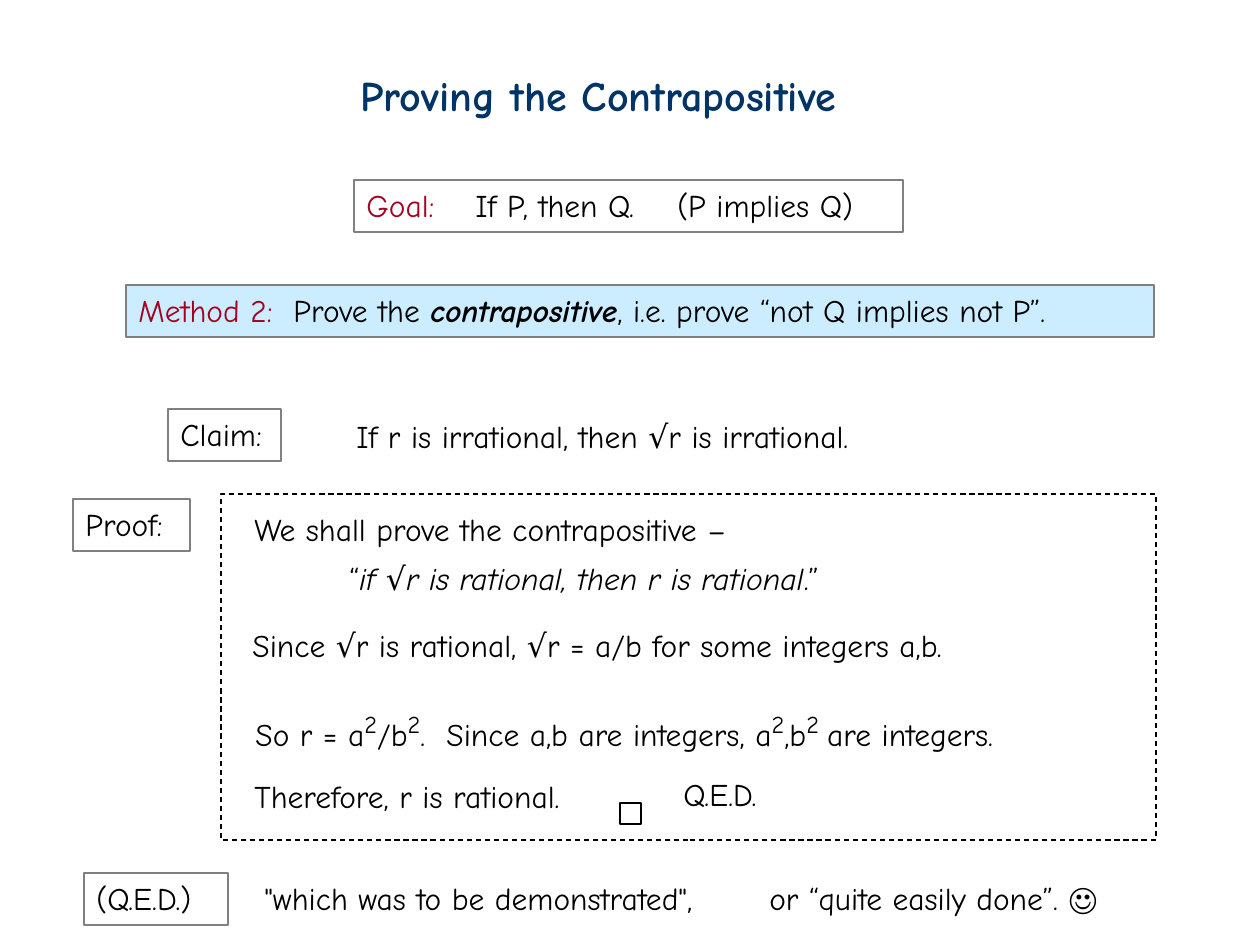
from lxml import etree
from pptx import Presentation
from pptx.dml.color import RGBColor
from pptx.enum.dml import MSO_LINE_DASH_STYLE as Dash
from pptx.enum.shapes import MSO_SHAPE as Shape
from pptx.enum.text import MSO_ANCHOR as Anchor, PP_ALIGN as Align
from pptx.oxml.ns import qn
from pptx.util import Emu, Pt

PX = 914400 / 126
FONT = "Comic Neue"
BLACK, GRAY, NAVY, RED, SKY = "000000", "808080", "003366", "A50021", "CCECFF"
LINE_H, LABEL_H = 50, 52


def px(length):
    return Emu(round(length * PX))


def color(value):
    return RGBColor.from_string(value)


def fill_paragraph(paragraph, parts, size=18):
    """Each part is plain text or a (text, style) pair."""
    paragraph.alignment = Align.LEFT
    for part in parts:
        words, style = (part, {}) if isinstance(part, str) else part
        run = paragraph.add_run()
        run.text = words
        font = run.font
        font.name, font.size = FONT, Pt(style.get("size", size))
        font.color.rgb = color(style.get("color", BLACK))
        font.bold, font.italic = style.get("bold", False), style.get("italic", False)
        if "raised" in style:
            run._r.get_or_add_rPr().set("baseline", str(style["raised"] * 1000))


def set_tabs(paragraph, stops):
    tabs = etree.SubElement(paragraph._p.get_or_add_pPr(), qn("a:tabLst"))
    for stop in stops:
        etree.SubElement(tabs, qn("a:tab"), pos=str(px(stop)), algn="l")


def add_text(slide, box, *parts, tabs=(), size=18):
    frame = slide.shapes.add_textbox(*map(px, box)).text_frame
    frame.word_wrap = True
    fill_paragraph(frame.paragraphs[0], parts, size)
    if tabs:
        set_tabs(frame.paragraphs[0], tabs)
    return frame


def add_frame(slide, box, *parts, fill=None, line=GRAY, tabs=()):
    rect = slide.shapes.add_shape(Shape.RECTANGLE, *map(px, box))
    rect.shadow.inherit = False
    if fill:
        rect.fill.solid()
        rect.fill.fore_color.rgb = color(fill)
    else:
        rect.fill.background()
    rect.line.color.rgb = color(line)
    rect.line.width = Pt(0.75)
    if parts:
        frame = rect.text_frame
        frame.word_wrap, frame.vertical_anchor = True, Anchor.TOP
        fill_paragraph(frame.paragraphs[0], parts)
        if tabs:
            set_tabs(frame.paragraphs[0], tabs)
    return rect


def add_heading(slide, box):
    add_text(slide, box, ("Proving the Contrapositive", {"color": NAVY, "bold": True}), size=24)


def add_goal(slide, box):
    add_frame(slide, box, ("Goal:", {"color": RED}),
              "\tIf P, then Q.\t(P implies Q)", tabs=(109, 311))


def add_method(slide, box):
    add_frame(slide, box, ("Method 2:", {"color": RED}), "\tProve the ",
              ("contrapositive", {"bold": True, "italic": True}),
              ", i.e. prove “not Q implies not P”.", fill=SKY, tabs=(155,))


def add_claim(slide, box):
    left, top, width, height = box
    add_frame(slide, (left, top, 113, LABEL_H), "Claim:")
    add_text(slide, (left + 176, top + 2, width - 176, LINE_H),
             "If r is irrational, then √r is irrational.")


def add_proof(slide, box):
    left, top, width, height = box
    add_frame(slide, (left, top + 5, 117, LABEL_H), "Proof:")
    body_left, body_width = left + 148, width - 148
    add_frame(slide, (body_left, top, body_width, height), line=BLACK).line.dash_style = Dash.DASH

    def step(dx, dy, *parts, tabs=()):
        line_box = (body_left + dx, top + dy, body_width - dx, LINE_H)
        return add_text(slide, line_box, *parts, tabs=tabs)

    # Opening statement, with the contrapositive indented below it
    opening = step(21, 10, "We shall prove the contrapositive –")
    contrapositive = opening.add_paragraph()
    contrapositive.line_spacing = 1.3
    fill_paragraph(contrapositive, [
        "“", ("if √r is rational, then r is rational", {"italic": True}), ".”"])
    contrapositive._p.get_or_add_pPr().set("marL", str(px(95)))

    # Deduction
    step(19, 126, "Since √r is rational, √r = a/b for some integers a,b.")
    square = ("2", {"size": 24, "raised": 30})
    step(22, 204, "So r = a", square, "/b", square, ".\tSince a,b are integers, a",
         square, ",b", ("2 ", square[1]), "are integers.", tabs=(191,))
    step(21, 277, "Therefore, r is rational.")

    # End-of-proof mark
    add_frame(slide, (body_left + 399, top + 309, 21, 21), line=BLACK)
    step(450, 275, "Q.E.D.")


def add_qed_note(slide, box):
    left, top, width, height = box
    add_frame(slide, (left, top, 144, LABEL_H), "(Q.E.D.)")
    add_text(slide, (left + 168, top, 516, LINE_H), '"which was to be demonstrated",')
    add_text(slide, (left + 673, top, width - 673, LINE_H), "or “quite easily done”. ☺")


def main():
    deck = Presentation()
    deck.slide_width, deck.slide_height = px(1260), px(945)
    slide = deck.slides.add_slide(deck.slide_layouts[6])
    add_heading(slide, (348, 63, 556, 63))
    add_goal(slide, (354, 180, 549, LABEL_H))
    add_method(slide, (126, 285, 1028, LABEL_H))
    add_claim(slide, (168, 409, 767, LABEL_H))
    add_proof(slide, (73, 494, 1083, 346))
    add_qed_note(slide, (84, 873, 1052, LABEL_H))
    deck.save("out.pptx")


if __name__ == "__main__":
    main()
